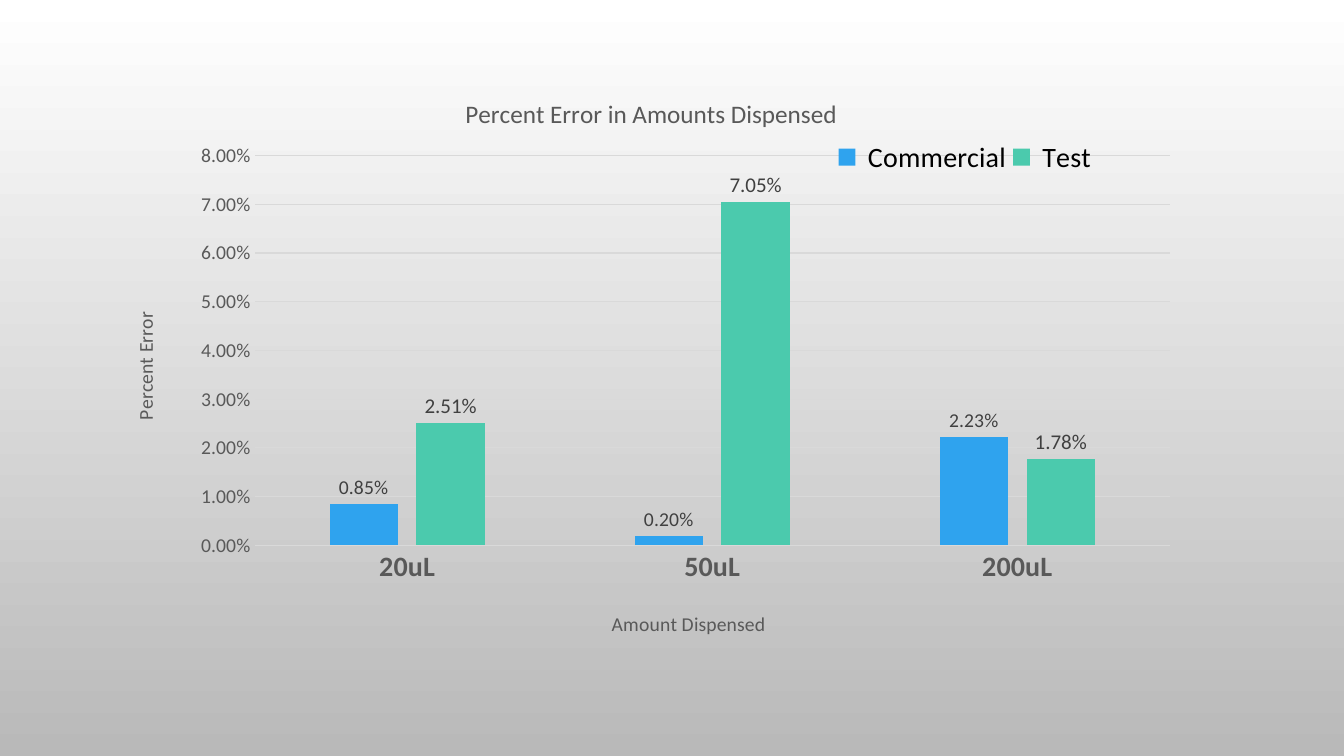
from pptx import Presentation
from pptx.chart.data import CategoryChartData
from pptx.dml.color import RGBColor
from pptx.enum import chart as kinds
from pptx.oxml import parse_xml
from pptx.oxml.ns import nsdecls
from pptx.util import Inches, Pt

WHITE = RGBColor(0xFF, 0xFF, 0xFF)
SILVER = RGBColor(0xB9, 0xB9, 0xB9)
GRID = RGBColor(0xD9, 0xD9, 0xD9)
GRAY = RGBColor(0x59, 0x59, 0x59)
DARK = RGBColor(0x40, 0x40, 0x40)
BLACK = RGBColor(0, 0, 0)
BLUE = RGBColor(0x2F, 0xA3, 0xEE)
GREEN = RGBColor(0x4B, 0xCA, 0xAD)

FONT = "Calibri"
PERCENT = "0.00%"
AMOUNTS = ["20uL", "50uL", "200uL"]
SERIES = [
    (" Commercial", (0.0085, 0.0020, 0.0223), BLUE, 14),
    (" Test ", (0.0251, 0.0705, 0.0178), GREEN, 15),
]
TITLE = "Percent Error in Amounts Dispensed"
AMOUNT_TITLE = "Amount Dispensed"
ERROR_TITLE = "Percent Error"
PLACES = {
    "c:chart/c:title": (0.33, 0.04),
    "c:chart//c:catAx/c:title": (0.465, 0.85),
    "c:chart//c:valAx/c:title": (0.025, 0.38),
    "c:chart/c:plotArea": (0.141, 0.14, 0.839, 0.613),
    "c:chart/c:legend": (0.67, 0.115, 0.25, 0.055),
}


def style_font(font, size, color, bold=False):
    """Set typeface, size, colour and weight."""
    font.name, font.size, font.bold = FONT, Pt(size), bold
    font.color.rgb = color


def set_title(holder, words, size):
    """Write a one-line title on a chart or axis title."""
    holder.text_frame.text = words
    style_font(holder.text_frame.paragraphs[0].font, size, GRAY)


def place(part, fractions):
    """Position a chart part by fractions of the chart area."""
    for old in part.xpath("c:layout"):
        part.remove(old)
    target = '<c:layoutTarget val="inner"/>' if part.tag.endswith("plotArea") else ""
    modes = '<c:xMode val="edge"/><c:yMode val="edge"/>'
    values = "".join(f'<c:{key} val="{value}"/>' for key, value in zip("xywh", fractions))
    layout = parse_xml(
        f'<c:layout {nsdecls("c")}><c:manualLayout>{target}{modes}{values}'
        "</c:manualLayout></c:layout>"
    )
    overlay = part.xpath("c:overlay")
    if overlay:
        overlay[0].addprevious(layout)
    else:
        part.insert(0, layout)


def style_axes(chart):
    """Format both axes and their titles."""
    amounts, errors = chart.category_axis, chart.value_axis
    for axis, words, size, bold in (
        (amounts, AMOUNT_TITLE, 20, True),
        (errors, ERROR_TITLE, 14, False),
    ):
        set_title(axis.axis_title, words, 14)
        style_font(axis.tick_labels.font, size, GRAY, bold)
        axis.major_tick_mark = kinds.XL_TICK_MARK.NONE
        axis.minor_tick_mark = kinds.XL_TICK_MARK.NONE
    errors.minimum_scale, errors.maximum_scale, errors.major_unit = 0, 0.08, 0.01
    errors.tick_labels.number_format = PERCENT
    errors.tick_labels.number_format_is_linked = False
    errors.format.line.fill.background()
    errors.has_major_gridlines = True
    for line in (amounts.format.line, errors.major_gridlines.format.line):
        line.color.rgb, line.width = GRID, Pt(0.75)


def style_series(plot):
    """Colour the columns and label their values."""
    plot.gap_width, plot.overlap = 219, -27
    plot.vary_by_categories = False
    for series, (_, _, color, size) in zip(plot.series, SERIES):
        series.format.fill.solid()
        series.format.fill.fore_color.rgb = color
        series.invert_if_negative = False
        labels = series.data_labels
        labels.show_value = True
        labels.position = kinds.XL_LABEL_POSITION.OUTSIDE_END
        labels.number_format, labels.number_format_is_linked = PERCENT, False
        style_font(labels.font, size, DARK)


def main():
    """Build the slide with the error chart."""
    deck = Presentation()
    deck.slide_width, deck.slide_height = Inches(13.33), Inches(7.5)
    page = deck.slides.add_slide(deck.slide_layouts[6])
    backdrop = page.background.fill
    backdrop.gradient()
    backdrop.gradient_angle = 270
    for stop, color, position in zip(backdrop.gradient_stops, (WHITE, SILVER), (0, 1)):
        stop.color.rgb, stop.position = color, position

    data = CategoryChartData(number_format=PERCENT)
    data.categories = AMOUNTS
    for name, values, _, _ in SERIES:
        data.add_series(name, values)
    chart = page.shapes.add_chart(
        kinds.XL_CHART_TYPE.COLUMN_CLUSTERED,
        Inches(1), Inches(0.66), Inches(10.82), Inches(6.31), data,
    ).chart
    style_font(chart.font, 10, BLACK)
    set_title(chart.chart_title, TITLE, 18)
    style_axes(chart)
    style_series(chart.plots[0])
    chart.has_legend = True
    chart.legend.position = kinds.XL_LEGEND_POSITION.BOTTOM
    chart.legend.include_in_layout = False
    style_font(chart.legend.font, 20, BLACK)
    for query, fractions in PLACES.items():
        place(chart.element.xpath(query)[0], fractions)
    deck.save("out.pptx")


if __name__ == "__main__":
    main()
